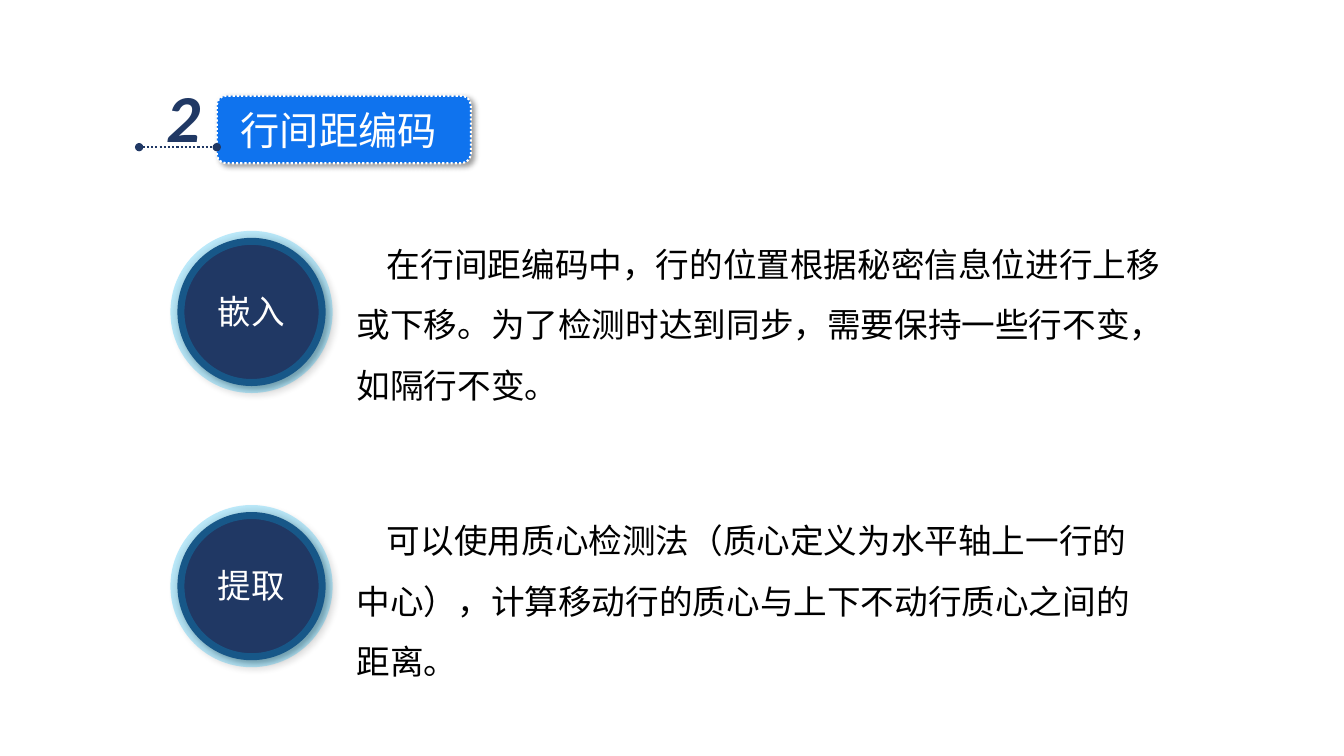
"""Build a slide on line-spacing coding: embedding and extraction."""
from lxml.etree import SubElement
from pptx import Presentation
from pptx.dml.color import RGBColor
from pptx.enum.dml import MSO_LINE
from pptx.enum.shapes import MSO_CONNECTOR, MSO_SHAPE
from pptx.enum.text import MSO_AUTO_SIZE
from pptx.oxml.ns import qn
from pptx.util import Inches, Pt

HAN = "Noto Sans CJK SC"
NAVY, BLUE, SKY, WHITE, BLACK = "203864", "0F73EE", "00B0F0", "FFFFFF", "000000"
TITLE, NUMBER = "行间距编码", "2"
STEPS = [
    ("嵌入", "在行间距编码中，行的位置根据秘密信息位进行上移或下移。"
     "为了检测时达到同步，需要保持一些行不变，如隔行不变。", 8.33, 2.17),
    ("提取", "可以使用质心检测法（质心定义为水平轴上一行的中心），"
     "计算移动行的质心与上下不动行质心之间的距离。", 8.13, 4.91),
]
TOP, STEP = 1.94, 2.72


def paint(target, color, alpha=None):
    target.solid()
    target.fore_color.rgb = RGBColor.from_string(color)
    if alpha:
        node = target._xPr.find(qn("a:solidFill"))[0]
        SubElement(node, qn("a:alpha"), val=str(alpha * 1000))


def shade(shape):
    glow = SubElement(shape._element.spPr, qn("a:effectLst"))
    cast = SubElement(glow, qn("a:outerShdw"), blurRad=str(Pt(4)), dist=str(Pt(3)),
                      dir="2700000", algn="tl", rotWithShape="0")
    hue = SubElement(cast, qn("a:srgbClr"), val=BLACK)
    SubElement(hue, qn("a:alpha"), val="40000")


def block(kind, box, color, alpha=None, edge=None, shadow=False):
    shape = slide.shapes.add_shape(kind, *map(Inches, box))
    paint(shape.fill, color, alpha)
    if edge:
        hue, width, clear = edge
        paint(shape.line.fill, hue, clear)
        shape.line.width = Pt(width)
    else:
        shape.line.fill.background()
    if shadow:
        shade(shape)
    else:
        shape.shadow.inherit = False
    return shape


def write(words, box, size, color, face=HAN, wrap=False):
    frame = slide.shapes.add_textbox(*map(Inches, box)).text_frame
    frame.word_wrap = wrap
    frame.auto_size = MSO_AUTO_SIZE.SHAPE_TO_FIT_TEXT
    para = frame.paragraphs[0]
    para.text = words
    font = para.font
    font.size, font.name = Pt(size), face
    paint(font.fill, color)
    SubElement(font._rPr, qn("a:ea"), typeface=face)
    return para


def header():
    tab = block(MSO_SHAPE.ROUNDED_RECTANGLE, (2.15, 0.95, 2.52, 0.67), BLUE,
                edge=(WHITE, 1.5, None), shadow=True)
    tab.adjustments[0] = 0.137
    tab.line.dash_style = MSO_LINE.ROUND_DOT
    write(TITLE, (2.29, 1.01, 2.17, 0.57), 28, WHITE)
    digit = write(NUMBER, (1.55, 0.7, 0.54, 0.91), 48, NAVY, "Calibri")
    digit.font.bold = digit.font.italic = True
    rule = slide.shapes.add_connector(
        MSO_CONNECTOR.STRAIGHT, *map(Inches, (1.38, 1.46, 2.15, 1.46)))
    paint(rule.line.fill, NAVY)
    rule.line.width = Pt(1.5)
    rule.line.dash_style = MSO_LINE.ROUND_DOT
    for end in ("a:headEnd", "a:tailEnd"):
        SubElement(rule.line._ln, qn(end), type="oval")
    SubElement(rule._element.spPr, qn("a:effectLst"))


def step(top, label, words, width, text_top):
    panel = block(MSO_SHAPE.ROUNDED_RECTANGLE, (2.68, top, 9.09, 2.34), WHITE, 50)
    panel.adjustments[0] = 0.08
    para = write(words, (3.44, text_top, width, 1.92), 24, BLACK, wrap=True)
    para.line_spacing = 1.5
    para._p.get_or_add_pPr().set("indent", str(Inches(0.3)))
    block(MSO_SHAPE.OVAL, (1.76, top + 0.42, 1.47, 1.47), NAVY,
          edge=(SKY, 10, 25), shadow=True)
    write(label, (2.06, top + 0.9, 0.91, 0.5), 24, WHITE)


deck = Presentation()
deck.slide_width, deck.slide_height = Inches(13.33), Inches(7.5)
slide = deck.slides.add_slide(deck.slide_layouts[6])
header()
for row, item in enumerate(STEPS):
    step(TOP + row * STEP, *item)
deck.save("out.pptx")
